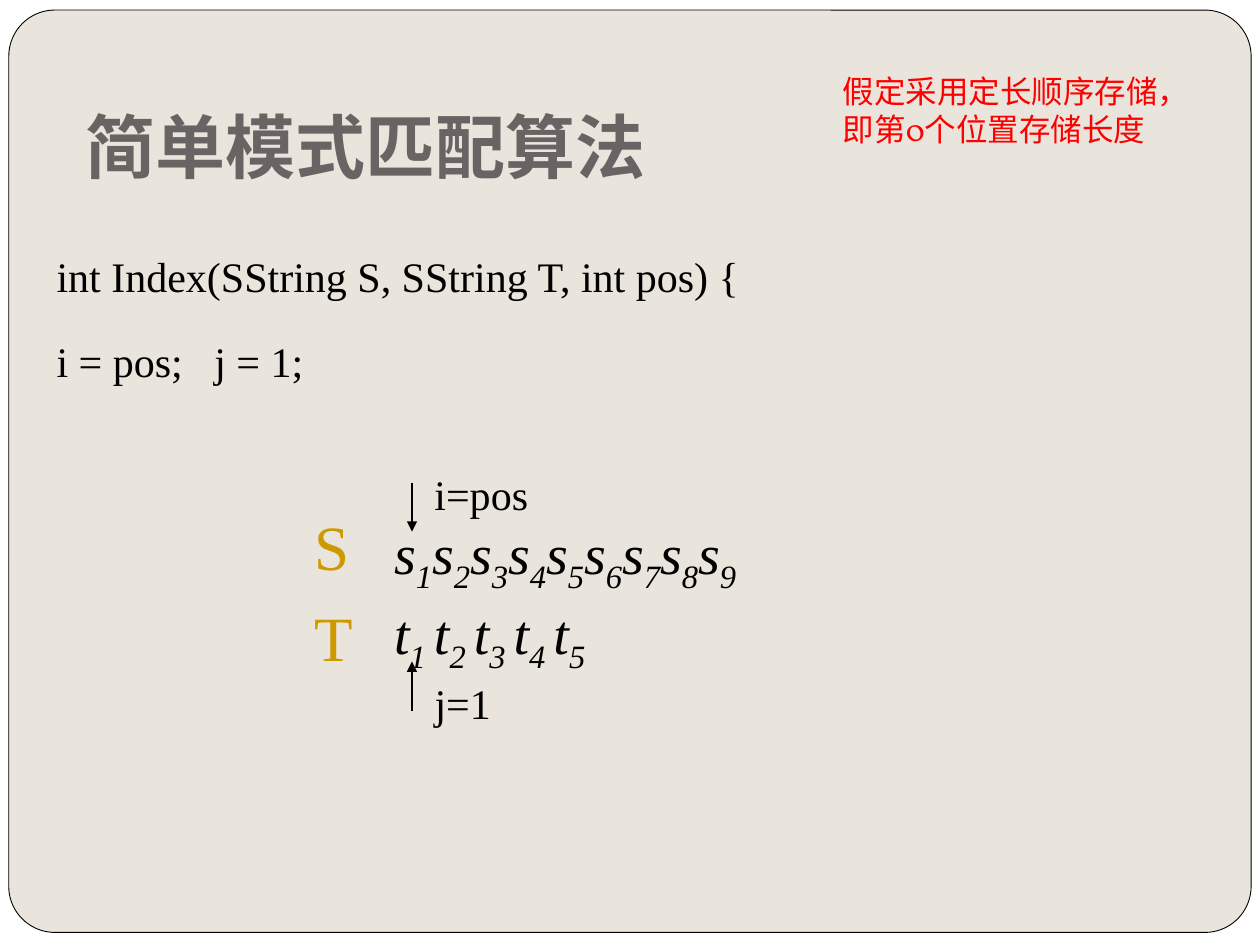
import pptx
import pptx.dml.color
import pptx.enum.shapes
import pptx.enum.text
import pptx.oxml
import pptx.oxml.ns
import pptx.util

COLUMNS, ROWS = 100, 75
SERIF = "Times New Roman"
BLACK, GOLD, RED, GREY, BEIGE, WHITE = "000000", "CC9900", "FF0000", "696464", "E9E5DC", "FFFFFF"


def color(hex_value):
    return pptx.dml.color.RGBColor.from_string(hex_value)


def set_values(target, values):
    for name, value in values.items():
        setattr(target, name, value)


class SlideBuilder:
    """Places elements on a grid of COLUMNS by ROWS with one shared style."""

    def __init__(self, presentation):
        self.cell_width = presentation.slide_width / COLUMNS
        self.cell_height = presentation.slide_height / ROWS
        self.slide = presentation.slides.add_slide(presentation.slide_layouts[5])
        self.shapes = self.slide.shapes
        background = self.slide.background.fill
        background.solid()
        background.fore_color.rgb = color(WHITE)

    def grid(self, *lengths):
        """Turn alternating column and row counts into slide lengths."""
        cells = (self.cell_width, self.cell_height) * 2
        return [round(length * cell) for length, cell in zip(lengths, cells)]

    def add_run(self, paragraph, text, size, hex_value, font=SERIF, **style):
        run = paragraph.add_run()
        run.text = text
        set_values(run.font, {"size": pptx.util.Pt(size), "name": font, **style})
        run.font.color.rgb = color(hex_value)
        return run

    def title(self, text, box):
        shape = self.shapes.title
        set_values(shape, dict(zip(("left", "top", "width", "height"), self.grid(*box))))
        set_values(shape.text_frame, {
            "vertical_anchor": pptx.enum.text.MSO_ANCHOR.BOTTOM,
            "auto_size": pptx.enum.text.MSO_AUTO_SIZE.NONE,
            "margin_bottom": pptx.util.Inches(0.1),
        })
        paragraph = shape.text_frame.paragraphs[0]
        paragraph.alignment = pptx.enum.text.PP_ALIGN.LEFT
        self.add_run(paragraph, text, 40, GREY, "Karla", bold=True)

    def card(self, box):
        """Add the rounded panel behind everything else."""
        shape = self.shapes.add_shape(
            pptx.enum.shapes.MSO_SHAPE.ROUNDED_RECTANGLE, *self.grid(*box))
        shape.adjustments[0] = 0.05
        shape.shadow.inherit = False
        shape.fill.solid()
        shape.fill.fore_color.rgb = color(BEIGE)
        shape.line.color.rgb = color(BLACK)
        shape.line.width = pptx.util.Pt(0.5)
        title_element = self.shapes.title._element
        title_element.addprevious(shape._element)

    def text_frame(self, box, wrap=True):
        frame = self.shapes.add_textbox(*self.grid(*box)).text_frame
        set_values(frame, {
            "word_wrap": wrap,
            "auto_size": pptx.enum.text.MSO_AUTO_SIZE.SHAPE_TO_FIT_TEXT,
        })
        return frame

    def label(self, text, box, size, hex_value=BLACK, font=SERIF, wrap=False):
        paragraph = self.text_frame(box, wrap).paragraphs[0]
        self.add_run(paragraph, text, size, hex_value, font)

    def code(self, lines, box):
        frame = self.text_frame(box)
        for index, line in enumerate(lines):
            paragraph = frame.add_paragraph() if index else frame.paragraphs[0]
            set_values(paragraph, {"line_spacing": 1.2, "space_before": pptx.util.Pt(14)})
            self.add_run(paragraph, line, 24, BLACK)

    def sequence(self, letter, count, box, gap=""):
        """Write a letter with the subscripts 1 to count."""
        paragraph = self.text_frame(box).paragraphs[0]
        for number in range(1, count + 1):
            self.add_run(paragraph, letter, 32, BLACK, italic=True)
            subscript = f"{number}{gap if number < count else ''}"
            run = self.add_run(paragraph, subscript, 32, BLACK, italic=True)
            run.font._element.set("baseline", "-25000")

    def arrow(self, start, end):
        connector = self.shapes.add_connector(
            pptx.enum.shapes.MSO_CONNECTOR.STRAIGHT, *self.grid(*start, *end))
        connector.line.color.rgb = color(BLACK)
        connector.line.width = pptx.util.Pt(0.75)
        line = connector.line._get_or_add_ln()
        head = pptx.oxml.parse_xml(
            f'<a:tailEnd {pptx.oxml.ns.nsdecls("a")} type="triangle"/>')
        line.append(head)
        effects = pptx.oxml.parse_xml(f'<a:effectLst {pptx.oxml.ns.nsdecls("a")}/>')
        line.addnext(effects)


def main():
    presentation = pptx.Presentation()
    presentation.slide_width = pptx.util.Inches(10)
    presentation.slide_height = pptx.util.Inches(7.5)
    builder = SlideBuilder(presentation)

    builder.card((0.7, 0.8, 98.6, 73.2))
    builder.title("简单模式匹配算法", (5.8, 6.7, 90, 9.2))
    builder.code(["int Index(SString S, SString T, int pos) {", "i = pos;   j = 1;"],
                 (3.5, 18.6, 96.5, 12.7))

    builder.sequence("s", 9, (30.3, 40.7, 36.2, 6.3))
    builder.sequence("t", 5, (30.3, 47, 27.6, 6.3), gap=" ")
    builder.label("S", (24, 39.8, 4.8, 7), 36, GOLD)
    builder.label("T", (24, 47, 5.1, 7), 36, GOLD)

    pointer_column = 32.7
    pointers = [("i=pos", 9.4, 36.7, 38.3, 42.2), ("j=1", 6.5, 53.3, 56.4, 52.5)]
    for text, width, top, start, end in pointers:
        builder.arrow((pointer_column, start), (pointer_column, end))
        builder.label(text, (33.5, top, width, 5), 24)

    builder.label("假定采用定长顺序存储，即第0个位置存储长度",
                  (65.9, 5.2, 29.9, 7.1), 18, RED, "Vollkorn", wrap=True)
    presentation.save("out.pptx")


if __name__ == "__main__":
    main()
